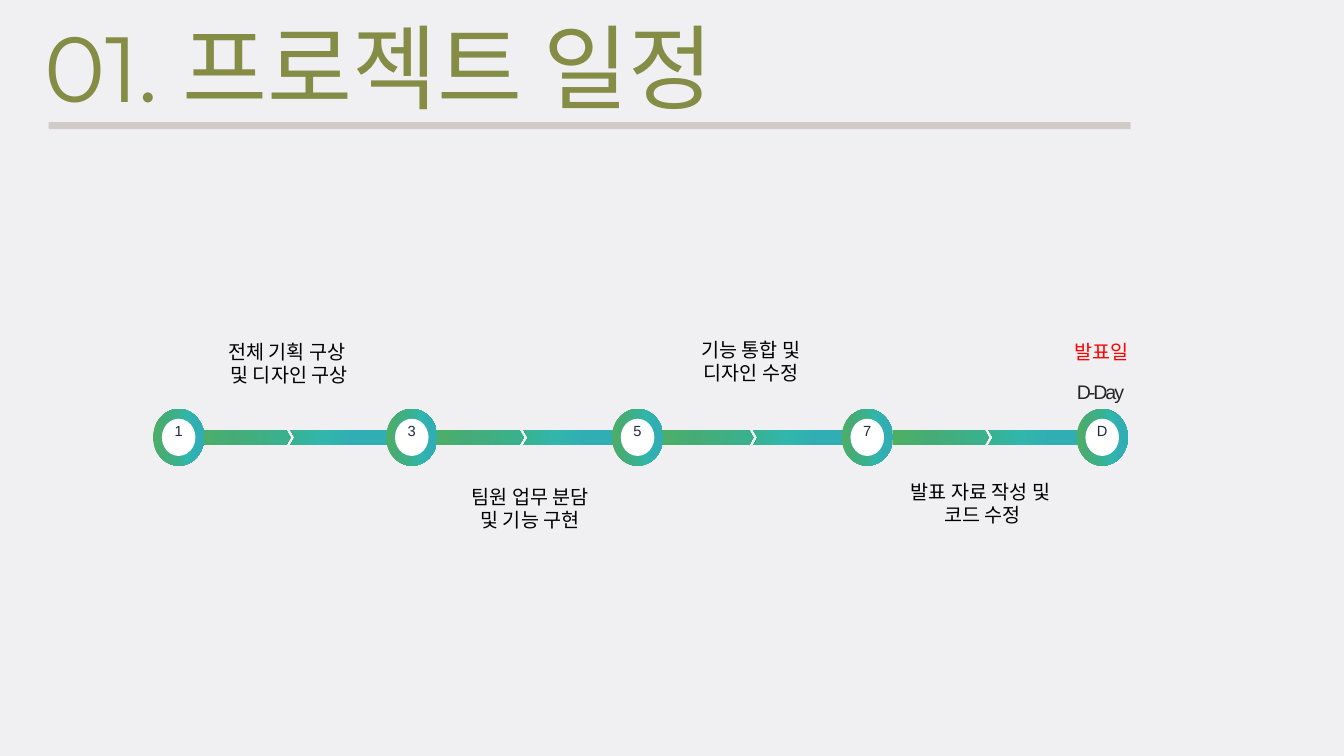
from lxml import etree
from pptx import Presentation
from pptx.dml.color import RGBColor
from pptx.enum.shapes import MSO_SHAPE
from pptx.enum.text import PP_ALIGN
from pptx.oxml.ns import qn
from pptx.util import Pt

OVAL, RECTANGLE = MSO_SHAPE.OVAL, MSO_SHAPE.RECTANGLE
CENTER, LEFT = PP_ALIGN.CENTER, PP_ALIGN.LEFT

BACKGROUND = RGBColor(0xF0, 0xF0, 0xF2)
OLIVE = RGBColor(0x84, 0x8C, 0x45)
BROWN = RGBColor(0x8C, 0x77, 0x64)
WHITE = RGBColor(0xFF, 0xFF, 0xFF)
BLACK = RGBColor(0x00, 0x00, 0x00)
RED = RGBColor(0xFF, 0x00, 0x00)
NAVY = RGBColor(0x1F, 0x2C, 0x3F)
CHARCOAL = RGBColor(0x26, 0x26, 0x26)
GRADIENT = [
    (0, RGBColor(0x4E, 0xAF, 0x63)),
    (21, RGBColor(0x45, 0xAC, 0x77)),
    (47, RGBColor(0x3A, 0xB1, 0x8C)),
    (66, RGBColor(0x30, 0xB6, 0xAA)),
    (83, RGBColor(0x30, 0xAE, 0xB4)),
    (100, RGBColor(0x30, 0xAF, 0xB5)),
]


def paint(shape, color=None):
    """Fill with one colour, or with the timeline gradient if none is given."""
    shape.shadow.inherit = False
    shape.line.fill.background()
    if color is not None:
        shape.fill.solid()
        shape.fill.fore_color.rgb = color
        return
    shape.fill.gradient()
    shape.fill.gradient_angle = 0
    stops = shape._element.spPr.find(qn("a:gradFill")).find(qn("a:gsLst"))
    for stop in list(stops):
        stops.remove(stop)
    for percent, stop_color in GRADIENT:
        stop = etree.SubElement(stops, qn("a:gs"), pos=str(percent * 1000))
        etree.SubElement(stop, qn("a:srgbClr"), val=str(stop_color))


def add_text(left, top, width, height, text, size, color, font="Arial", align=CENTER):
    box = slide.shapes.add_textbox(Pt(left), Pt(top), Pt(width), Pt(height))
    frame = box.text_frame
    frame.word_wrap = True
    frame.text = text
    for para in frame.paragraphs:
        para.alignment = align
        for span in para.runs:
            span.font.size = Pt(size)
            span.font.name = font
            span.font.color.rgb = color
    return frame


deck = Presentation()
deck.slide_width, deck.slide_height = Pt(960), Pt(540)
slide = deck.slides.add_slide(deck.slide_layouts[6])
slide.background.fill.solid()
slide.background.fill.fore_color.rgb = BACKGROUND

# Bars, each split by a chevron gap
BAR_TOP, BAR_WIDTH, BAR_HEIGHT = 307.3, 137.6, 10.5
BAR_MIDDLE, CHEVRON = BAR_WIDTH / 2, 3
bottom, center = BAR_TOP + BAR_HEIGHT, BAR_TOP + BAR_HEIGHT / 2
for left in (138.7, 305.3, 469.4, 637.5):
    split, right = left + BAR_MIDDLE, left + BAR_WIDTH
    right_half = [(split, BAR_TOP), (right, BAR_TOP), (right, bottom),
                  (split, bottom), (split + CHEVRON, center)]
    left_half = [(left, BAR_TOP), (split - CHEVRON, BAR_TOP), (split, center),
                 (split - CHEVRON, bottom), (left, bottom)]
    halves = [[(Pt(x), Pt(y)) for x, y in half] for half in (right_half, left_half)]
    builder = slide.shapes.build_freeform(*halves[0][0])
    builder.add_line_segments(halves[0][1:], close=True)
    builder.move_to(*halves[1][0])
    builder.add_line_segments(halves[1][1:], close=True)
    paint(builder.convert_to_shape())

# Numbered rings
RING_MIDDLE = 312.4
LABEL_WIDTH, LABEL_TOP = 24, 298
for ring_center, label in ((127.6, "1"), (294.1, "3"), (455.4, "5"), (619.5, "7"), (787.3, "D")):
    for width, height, color in ((36.6, 40.6, None), (24, 26.6, WHITE)):
        oval = slide.shapes.add_shape(
            OVAL, Pt(ring_center - width / 2), Pt(RING_MIDDLE - height / 2), Pt(width), Pt(height))
        paint(oval, color)
    label_frame = add_text(ring_center - LABEL_WIDTH / 2, LABEL_TOP, LABEL_WIDTH, 20,
                           label, 10.5, NAVY)
    label_frame.word_wrap = False

# Step captions
CAPTION_WIDTH = 230.4
for left, top, caption, color in (
    (91.4, 239, "전체 기획 구상 \n및 디자인 구상", BLACK),
    (263.5, 342.7, " 팀원 업무 분담 \n및 기능 구현", BLACK),
    (421.2, 237.6, "기능 통합 및\n디자인 수정", BLACK),
    (586.8, 339.1, "발표 자료 작성 및 \n코드 수정", BLACK),
    (671.8, 239.4, "발표일", RED),
):
    add_text(left, top, CAPTION_WIDTH, 41, caption, 14, color)

d_day = add_text(728.6, 266.4, 117.4, 26.6, "D-Day ", 14, CHARCOAL)
d_day.margin_left = d_day.margin_right = Pt(9.4)
d_day.margin_top = d_day.margin_bottom = Pt(5)
d_day.paragraphs[0].runs[0].font._element.set("spc", "-150")

# Title and rule
title = add_text(24.5, 13, 843.8, 79.2, "01. 프로젝트 일정", 66, OLIVE, "Montserrat", LEFT)
title.paragraphs[0].line_spacing = 0.9
rule = slide.shapes.add_shape(RECTANGLE, Pt(34.8), Pt(87.3), Pt(772.8), Pt(5))
paint(rule, BROWN)
rule_color = rule._element.spPr.find(qn("a:solidFill")).find(qn("a:srgbClr"))
etree.SubElement(rule_color, qn("a:alpha"), val="30000")

deck.save("out.pptx")
